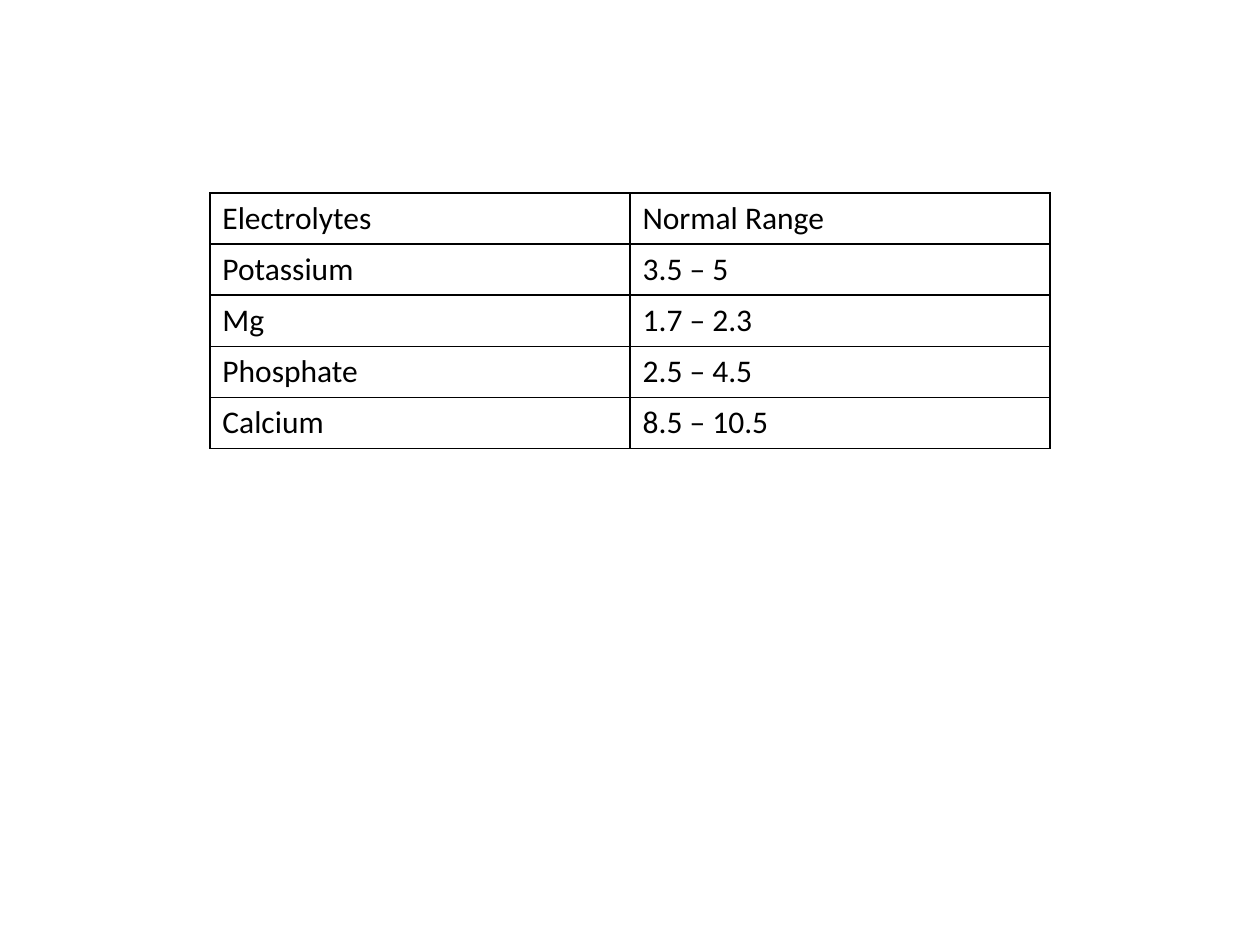
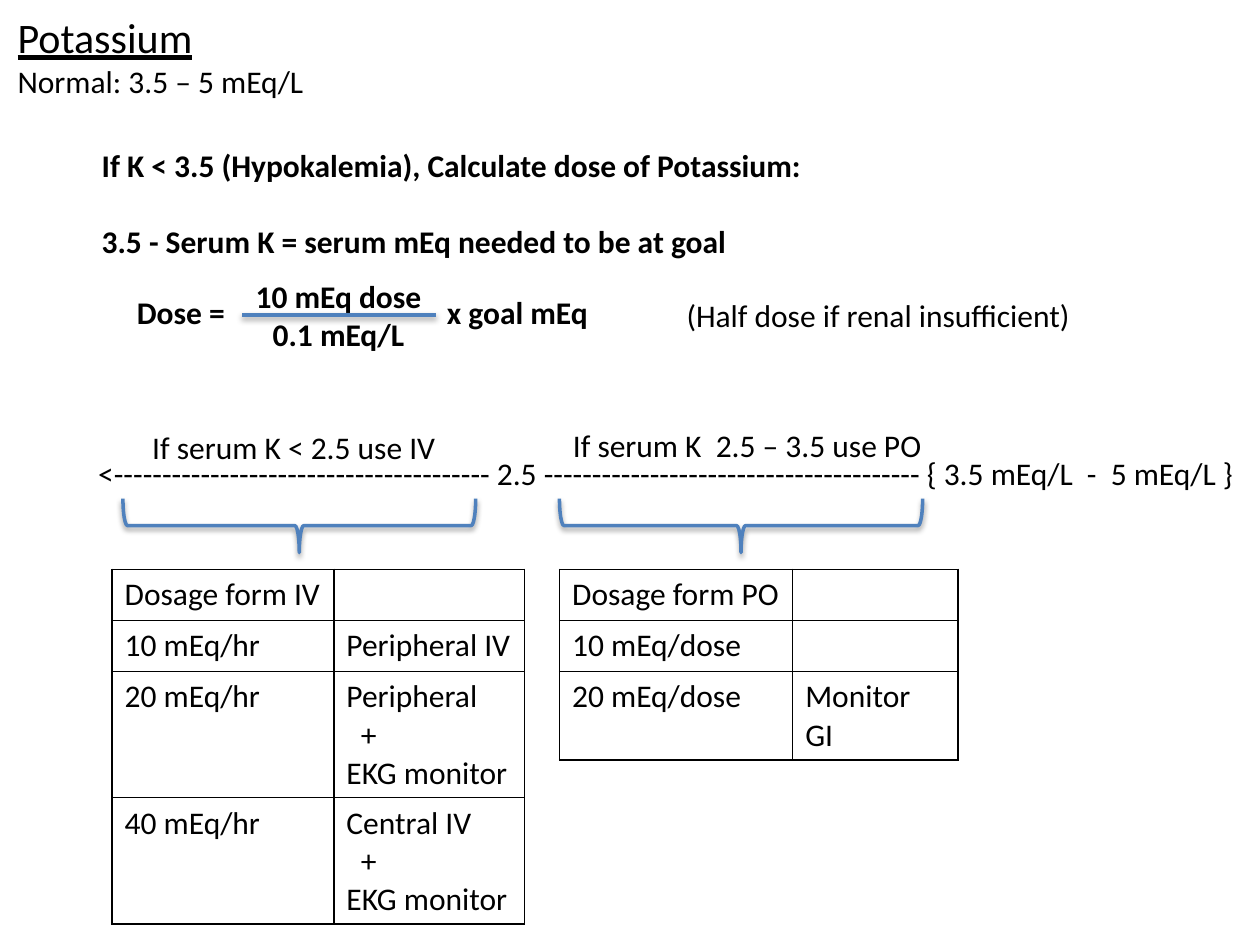
from dataclasses import dataclass
from lxml.etree import SubElement as Sub
from pptx import Presentation as Deck
from pptx.dml.color import RGBColor as Rgb
from pptx.enum.shapes import MSO_CONNECTOR as Link, MSO_SHAPE as Form
from pptx.enum.text import MSO_ANCHOR as Anchor, MSO_AUTO_SIZE as Fit, PP_ALIGN as Align
from pptx.oxml.ns import qn
from pptx.util import Cm, Pt


@dataclass(frozen=True)
class Theme:
    """Colours, type and line sizes of the deck."""
    font: str = "Calibri"
    ink: str = "000000"
    blue: str = "4F81BD"
    head: int = 24
    body: int = 18
    rule: int = 2
    grid: int = 1
    row: float = 1.03
    line: float = 1.02


THEME = Theme()

RANGES = [
    ["Electrolytes", "Normal Range"],
    ["Potassium", "3.5 – 5"],
    ["Mg", "1.7 – 2.3"],
    ["Phosphate", "2.5 – 4.5"],
    ["Calcium", "8.5 – 10.5"],
]
IV = [
    ["Dosage form IV", ""],
    ["10 mEq/hr", "Peripheral IV"],
    ["20 mEq/hr", "Peripheral\n+\nEKG monitor"],
    ["40 mEq/hr", "Central IV\n+\nEKG monitor"],
]
PO = [
    ["Dosage form PO", ""],
    ["10 mEq/dose", ""],
    ["20 mEq/dose", "Monitor GI"],
]


def write(para, text, size=THEME.body, bold=False, under=False):
    """Add one styled run to a paragraph."""
    run = para.add_run()
    run.text = text
    font = run.font
    font.name, font.size = THEME.font, Pt(size)
    font.bold, font.underline = bold, under
    font.color.rgb = Rgb.from_string(THEME.ink)


def lines(frame, text):
    """Yield a paragraph and its wording for each line of text."""
    for i, part in enumerate(text.split("\n")):
        yield (frame.add_paragraph() if i else frame.paragraphs[0]), part


def label(slide, box, text, bold=False, align=Align.LEFT, gap=0):
    """Add a text box that keeps its lines whole."""
    frame = slide.shapes.add_textbox(*map(Cm, box)).text_frame
    frame.word_wrap, frame.auto_size = False, Fit.SHAPE_TO_FIT_TEXT
    for i, (para, part) in enumerate(lines(frame, text)):
        para.alignment = align
        if i and gap:
            para.space_before = Pt(gap)
        write(para, part, bold=bold)


def trim(shape):
    """Give a shape the blue line and its soft shadow."""
    shape.line.color.rgb = Rgb.from_string(THEME.blue)
    shape.line.width = Pt(THEME.rule)
    props = shape.element.spPr
    glow = Sub(Sub(props, qn("a:effectLst")), qn("a:outerShdw"), blurRad="40000",
               dist="20000", dir="5400000", rotWithShape="0")
    tone = Sub(glow, qn("a:srgbClr"), val=THEME.ink)
    Sub(tone, qn("a:alpha"), val="38000")


def edge(cell):
    """Draw all four borders of a cell and clear its fill."""
    props = cell._tc.get_or_add_tcPr()
    for side in ("lnL", "lnR", "lnT", "lnB"):
        line = Sub(props, qn(f"a:{side}"), w=str(Pt(THEME.grid)))
        Sub(Sub(line, qn("a:solidFill")), qn("a:srgbClr"), val=THEME.ink)
    cell.fill.background()


def grid(slide, x, y, cols, rows):
    """Add a plain ruled table."""
    box = x, y, sum(cols), THEME.row * len(rows)
    table = slide.shapes.add_table(len(rows), len(cols), *map(Cm, box)).table
    table.first_row = table.horz_banding = False
    for col, wide in zip(table.columns, cols):
        col.width = Cm(wide)
    for r, row in enumerate(rows):
        table.rows[r].height = Cm(THEME.row)
        for c, text in enumerate(row):
            cell = table.cell(r, c)
            edge(cell)
            if not text:
                continue
            for para, part in lines(cell.text_frame, text):
                if part == "+":
                    para._p.get_or_add_pPr().set("marL", str(Cm(0.29)))
                write(para, part)


def brace(slide, x, y, wide, high):
    """Add a brace that points down and fills the given box."""
    left, top = x + (wide - high) / 2, y + (high - wide) / 2
    shape = slide.shapes.add_shape(Form.LEFT_BRACE, *map(Cm, (left, top, high, wide)))
    shape.rotation = 270
    shape.fill.background()
    trim(shape)


def title(slide, box, name, note):
    """Fill the title with a name and the normal range."""
    head = slide.shapes.title
    head.left, head.top, head.width, head.height = map(Cm, box)
    frame = head.text_frame
    frame.word_wrap, frame.auto_size = False, Fit.NONE
    frame.vertical_anchor = Anchor.TOP
    for i, (para, part) in enumerate(lines(frame, f"{name}\n{note}")):
        para.alignment = Align.LEFT
        write(para, part, THEME.body if i else THEME.head, under=not i)


def dose(slide, x, y):
    """Place the dose rule and its fraction."""
    label(slide, (x, y, 14.81, 2.57),
          "If K < 3.5 (Hypokalemia), Calculate dose of Potassium:\n"
          "3.5 - Serum K = serum mEq needed to be at goal", bold=True, gap=22)
    mid = y + 2.97
    label(slide, (x + 0.71, mid, 2.31, THEME.line), "Dose =", bold=True)
    label(slide, (x + 3.08, mid - 0.33, 3.89, 1.8), "10 mEq dose\n0.1 mEq/L",
          bold=True, align=Align.CENTER)
    label(slide, (x + 6.96, mid, 3.4, THEME.line), "x goal mEq", bold=True)
    label(slide, (x + 11.79, mid + 0.05, 8.33, THEME.line),
          "(Half dose if renal insufficient)")
    ends = x + 3.08, mid + 0.56, x + 6.99, mid + 0.56
    trim(slide.shapes.add_connector(Link.STRAIGHT, *map(Cm, ends)))


def branch(slide, x, y, span, note, cols, rows):
    """Place one route: its note, brace and dosage table."""
    (shift, wide), (inset, drop, room, text) = span, note
    label(slide, (x + inset, y + drop, room, THEME.line), text)
    brace(slide, x + shift, y + 1.59, wide, 1.09)
    grid(slide, x, y + 3.02, cols, rows)


def ranges(deck):
    """Build the slide of normal ranges."""
    slide = deck.slides.add_slide(deck.slide_layouts[6])
    grid(slide, 4.23, 3.89, (8.47, 8.47), RANGES)


def potassium(deck):
    """Build the slide of potassium doses."""
    slide = deck.slides.add_slide(deck.slide_layouts[5])
    title(slide, (0.1, 0.1, 6.35, 2.06), "Potassium", "Normal: 3.5 – 5 mEq/L")
    dash = "-" * 39
    label(slide, (1.73, 9.02, 23.67, THEME.line),
          f"<{dash} 2.5 {dash} {{ 3.5 mEq/L  -  5 mEq/L }}")
    dose(slide, 1.8, 2.82)
    branch(slide, 2.26, 8.46, (0.22, 7.11),
           (0.56, 0.05, 6.27, "If serum K < 2.5 use IV"), (4.47, 3.84), IV)
    branch(slide, 11.28, 8.46, (0, 7.32),
           (0.02, 0, 7.62, "If serum K  2.5 – 3.5 use PO"), (4.7, 3.33), PO)


def main():
    """Build and save the deck."""
    deck = Deck()
    deck.slide_width, deck.slide_height = Cm(25.4), Cm(19.05)
    ranges(deck)
    potassium(deck)
    deck.save("out.pptx")


if __name__ == "__main__":
    main()
